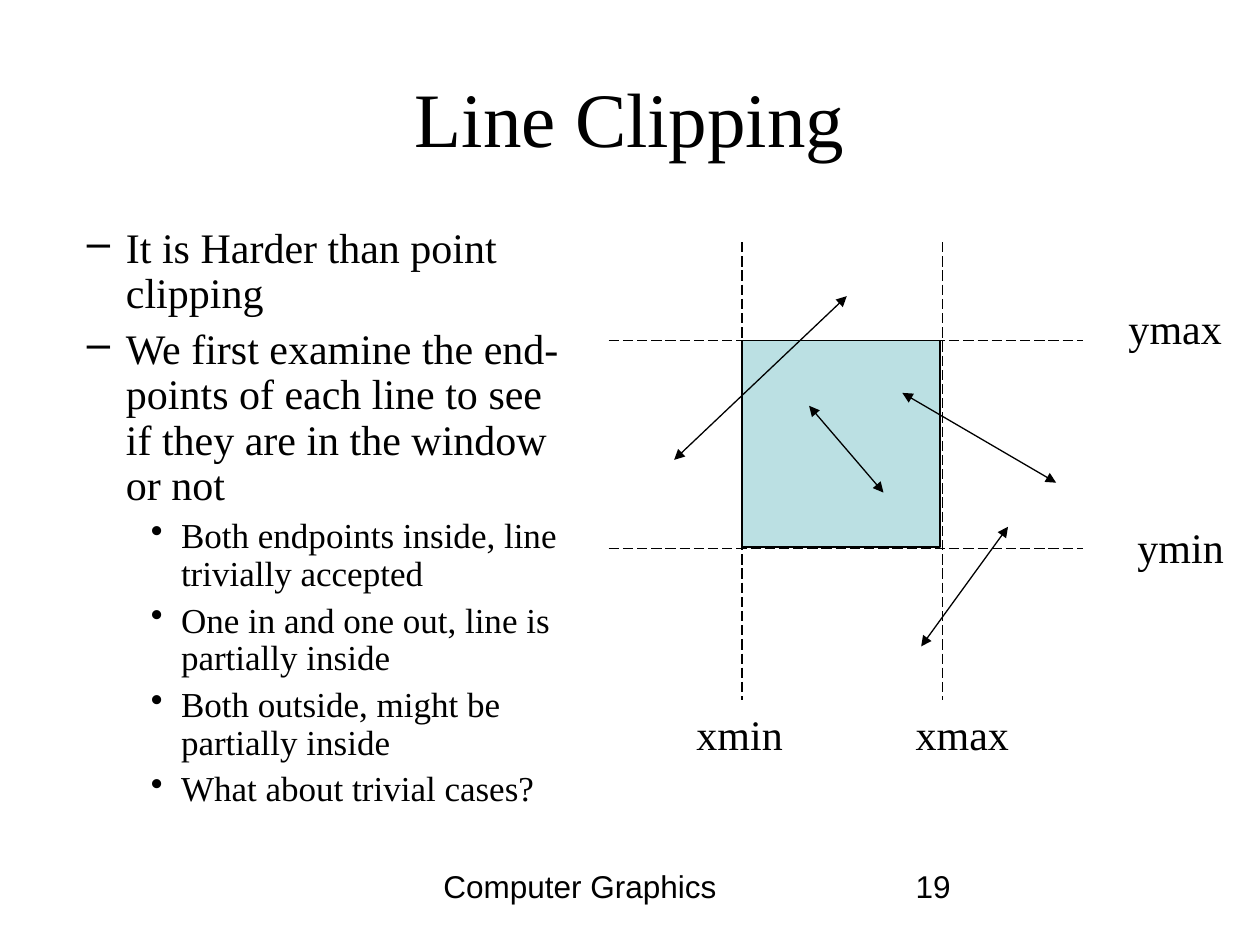
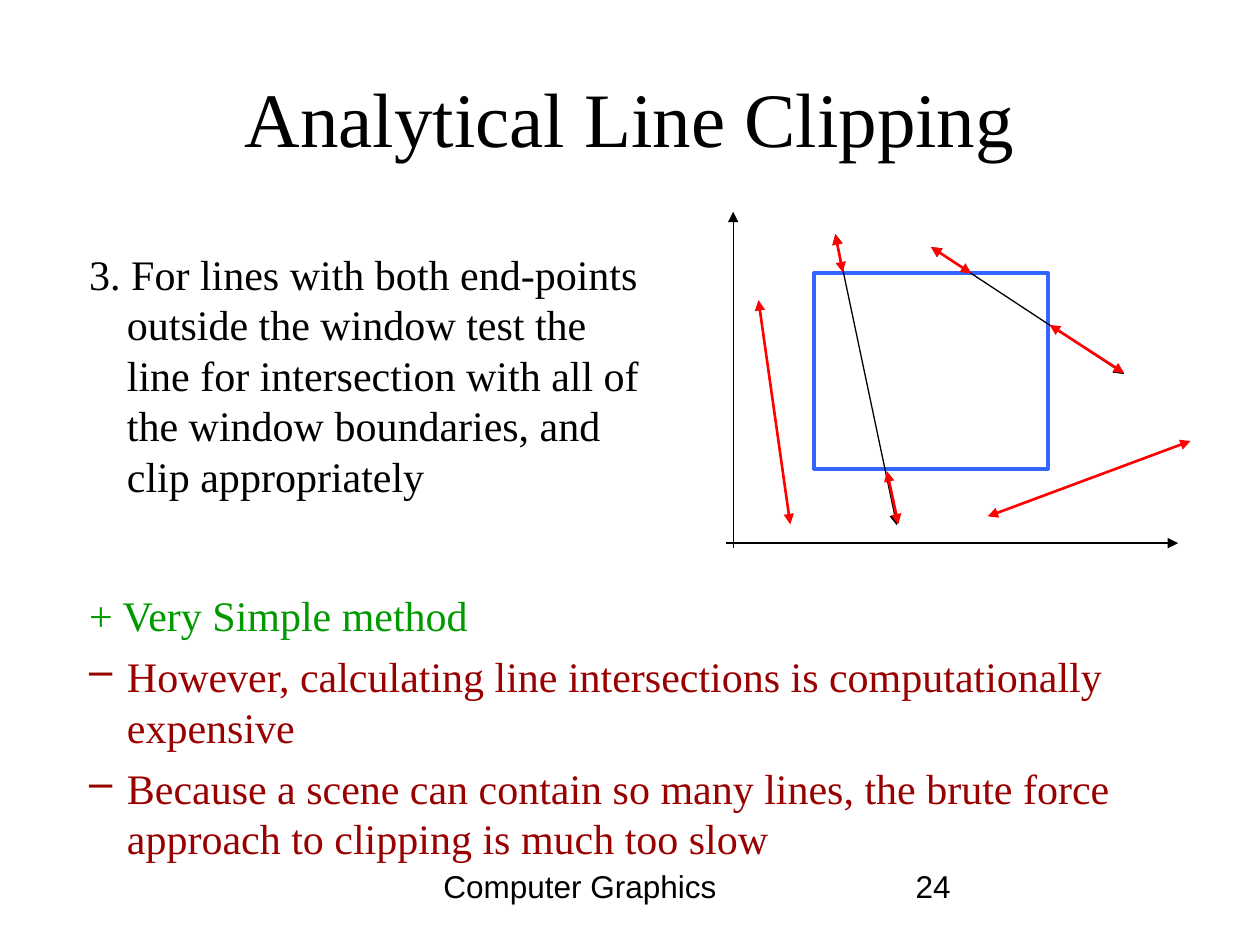
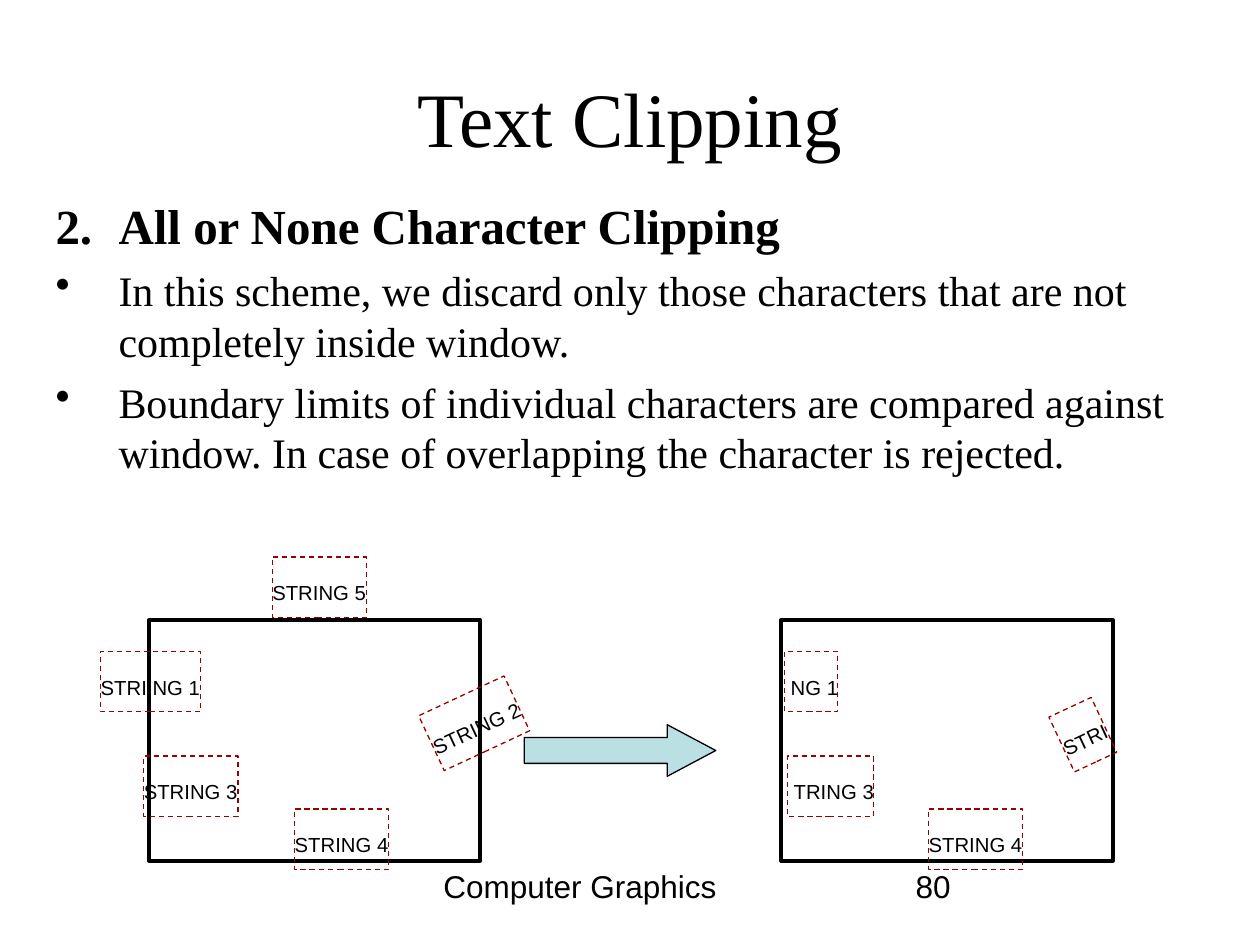
from lxml import etree
from pptx import Presentation
from pptx.dml.color import RGBColor
from pptx.enum import dml, shapes, text
from pptx.oxml import ns
from pptx.util import Cm, Pt

BLACK = RGBColor(0x00, 0x00, 0x00)
AQUA = RGBColor(0xBB, 0xE0, 0xE3)
BLUE = RGBColor(0x33, 0x66, 0xFF)
RED = RGBColor(0xFF, 0x00, 0x00)
GREEN = RGBColor(0x00, 0x99, 0x00)
WINE = RGBColor(0x99, 0x00, 0x00)

SERIF, SANS = "Times New Roman", "Arial"
PAD = (0.25, 0.13, 0.25, 0.13)
SHAPE = shapes.MSO_SHAPE
DASH = dml.MSO_LINE

# Paragraph styles: indents in cm, sizes and gaps in points
DASHED = dict(left=2.29, hang=0.79, lead=0.9, gap=6, mark="–")
DOTTED = dict(left=3.4, hang=0.61, lead=0.9, gap=5, mark="•", size=20)
PLAIN = dict(left=2.31, hang=0.76, gap=6)
DRAWBACK = dict(PLAIN, mark="–", color=WINE)
POINT = dict(left=1.3, hang=1.27, gap=6, mark="•")
HEAD = dict(left=1.3, hang=1.27, tab=1.3, size=28, bold=True)


def add(parent, tag, **attrs):
    return etree.SubElement(parent, ns.qn(tag), **attrs)


def write(par, words, size=24, color=BLACK, font=SERIF, bold=False, align=None,
          left=0, hang=0, lead=None, gap=0, mark=None, tab=None, base=None):
    """Fill one paragraph with formatted text."""
    props = par._p.get_or_add_pPr()
    props.set("marL", str(Cm(left)))
    props.set("indent", str(-Cm(hang)))
    if mark:
        tint = add(props, "a:buClr")
        add(tint, "a:srgbClr", val=str(color))
        add(props, "a:buChar", char=mark)
    else:
        add(props, "a:buNone")
    if tab:
        stops = add(props, "a:tabLst")
        add(stops, "a:tab", pos=str(Cm(tab)), algn="l")
    par.alignment = align or text.PP_ALIGN.LEFT
    par.space_before = Pt(gap)
    if lead:
        par.line_spacing = lead
    run = par.add_run()
    run.text = words
    run.font.name, run.font.size, run.font.bold = font, Pt(size), bold
    run.font.color.rgb = color
    if base:
        run._r.get_or_add_rPr().set("baseline", str(base * 1000))


def setup(frame, pad=PAD, wrap=True, anchor=text.MSO_ANCHOR.TOP):
    frame.word_wrap = wrap
    frame.vertical_anchor = anchor
    (frame.margin_left, frame.margin_top,
     frame.margin_right, frame.margin_bottom) = map(Cm, pad)


def block(slide, box, items, wrap=True, anchor=text.MSO_ANCHOR.TOP):
    """Text box holding (words, style) paragraphs."""
    frame = slide.shapes.add_textbox(*map(Cm, box)).text_frame
    setup(frame, wrap=wrap, anchor=anchor)
    for num, (words, style) in enumerate(items):
        par = frame.add_paragraph() if num else frame.paragraphs[0]
        write(par, words, **(style if num else dict(style, gap=0)))


def shape(slide, box, kind=SHAPE.RECTANGLE, fill=None, color=BLACK, width=0.75):
    item = slide.shapes.add_shape(kind, *map(Cm, box))
    item.shadow.inherit = False
    if fill is None:
        item.fill.background()
    else:
        item.fill.solid()
        item.fill.fore_color.rgb = fill
    item.line.color.rgb = color
    item.line.width = Pt(width)
    return item


def line(slide, x1, y1, x2, y2, color=BLACK, width=0.75, dash=None,
         ends=("headEnd", "tailEnd")):
    item = slide.shapes.add_connector(
        shapes.MSO_CONNECTOR.STRAIGHT, *map(Cm, (x1, y1, x2, y2)))
    item.line.color.rgb = color
    item.line.width = Pt(width)
    if dash:
        item.line.dash_style = dash
    for end in ends:
        add(item.line._get_or_add_ln(), "a:" + end, type="triangle")
    add(item._element.spPr, "a:effectLst")


def string(slide, words, x, y, width, turn=0, shift=0):
    """Dashed character box around a string."""
    item = shape(slide, (x, y, width, 1.22), color=WINE)
    item.line.dash_style = DASH.DASH
    item.rotation = turn
    setup(item.text_frame, pad=(shift, 0, 0, 0.25), wrap=False)
    write(item.text_frame.paragraphs[0], words, size=20, font=SANS, base=-25)


def page(deck, title, number):
    """Blank slide with the shared title and footer."""
    slide = deck.slides.add_slide(deck.slide_layouts[6])
    block(slide, (1.27, 0.76, 22.86, 3.18),
          [(title, dict(size=44, align=text.PP_ALIGN.CENTER))],
          anchor=text.MSO_ANCHOR.MIDDLE)
    foot = dict(size=18, font=SANS)
    block(slide, (8.69, 17.35, 8.03, 1.3), [("Computer Graphics", foot)])
    block(slide, (18.21, 17.35, 5.89, 1.3), [(str(number), foot)])
    return slide


def lines(deck):
    slide = page(deck, "Line Clipping", 19)
    block(slide, (0, 4.45, 11.63, 12.95), [
        ("It is Harder than point clipping", DASHED),
        ("We first examine the end-points of each line to see if they are "
         "in the window or not", DASHED),
        ("Both endpoints inside, line trivially accepted", DOTTED),
        ("One in and one out, line is partially inside", DOTTED),
        ("Both outside, might be partially inside", DOTTED),
        ("What about trivial cases?", DOTTED),
    ])
    # Window limits
    for y in (6.86, 11.05):
        line(slide, 12.27, y, 21.84, y, dash=DASH.LONG_DASH, ends=())
    for x in (14.96, 19):
        line(slide, x, 4.88, x, 14.12, dash=DASH.LONG_DASH, ends=())
    shape(slide, (14.96, 6.86, 3.99, 4.17), fill=AQUA)
    for name, x, y, width in (("ymin", 22.68, 10.39, 2.24),
                              ("ymax", 22.5, 5.97, 2.39),
                              ("xmin", 13.79, 14.15, 2.24),
                              ("xmax", 18.21, 14.15, 2.39)):
        block(slide, (x, y, width, 1.27), [(name, {})], wrap=False)
    # Lines to clip
    for ends in ((16.31, 8.18, 17.81, 9.93), (17.07, 5.97, 13.59, 9.27),
                 (21.29, 9.73, 18.19, 7.92), (20.32, 10.62, 18.57, 13.03)):
        line(slide, *ends)


def solve(deck):
    slide = page(deck, "Analytical Line Clipping", 24)
    block(slide, (0, 4.88, 13.54, 6.22), [
        ("3. For lines with both end-points outside the window test the line "
         "for intersection with all of the window boundaries, and clip "
         "appropriately", PLAIN)])
    block(slide, (0, 11.76, 22.86, 4.75), [
        ("+ Very Simple method", dict(PLAIN, color=GREEN)),
        ("However, calculating line intersections is computationally "
         "expensive", DRAWBACK),
        ("Because a scene can contain so many lines, the brute force "
         "approach to clipping is much too slow", DRAWBACK),
    ])
    # Axes and window
    line(slide, 14.63, 10.95, 23.75, 10.95, ends=("tailEnd",))
    line(slide, 14.78, 11.05, 14.78, 4.27, ends=("tailEnd",))
    shape(slide, (16.41, 5.51, 4.72, 3.94), color=BLUE, width=2.25)
    # Whole lines, then the parts cut away
    for ends in ((18.77, 4.98, 22.66, 7.54), (16.84, 4.72, 18.08, 10.59)):
        line(slide, *ends)
    for ends in ((24, 8.89, 19.91, 10.41), (15.29, 6.05, 15.93, 10.57),
                 (16.84, 4.72, 16.99, 5.49), (17.88, 9.5, 18.11, 10.57),
                 (21.16, 6.55, 22.66, 7.52), (18.77, 4.98, 19.58, 5.51)):
        line(slide, *ends, color=RED, width=1.5)


def strings(deck):
    slide = page(deck, "Text Clipping", 80)
    block(slide, (0.84, 3.81, 24.56, 12.57), [
        ("2.\tAll or None Character Clipping", HEAD),
        ("In this scheme, we discard only those characters that are not "
         "completely inside window.", POINT),
        ("Boundary limits of individual characters are compared against "
         "window. In case of overlapping the character is rejected.", POINT),
    ])
    # Windows before and after
    for x in (3, 15.75):
        shape(slide, (x, 12.5, 6.68, 4.85), width=2.25)
    arrow = shape(slide, (10.57, 14.61, 3.86, 1.04), SHAPE.RIGHT_ARROW, AQUA)
    arrow.adjustments[0], arrow.adjustments[1] = 0.5, 0.94
    # Strings before
    string(slide, "STRI NG 1", 2.03, 13.13, 2.01)
    string(slide, "STRING 2", 8.61, 13.97, 1.9, turn=335)
    string(slide, "STRING 3", 2.9, 15.24, 1.9)
    string(slide, "STRING 4", 5.94, 16.31, 1.9)
    string(slide, "STRING 5", 5.49, 11.23, 1.9)
    # Strings after
    string(slide, "NG 1", 15.82, 13.13, 1.07, shift=0.12)
    string(slide, "STRI", 21.36, 14.2, 0.94, turn=335)
    string(slide, "TRING 3", 15.88, 15.24, 1.73, shift=0.12)
    string(slide, "STRING 4", 18.72, 16.31, 1.9)


def main():
    deck = Presentation()
    deck.slide_width, deck.slide_height = Cm(25.4), Cm(19.05)
    lines(deck)
    solve(deck)
    strings(deck)
    deck.save("out.pptx")


if __name__ == "__main__":
    main()
